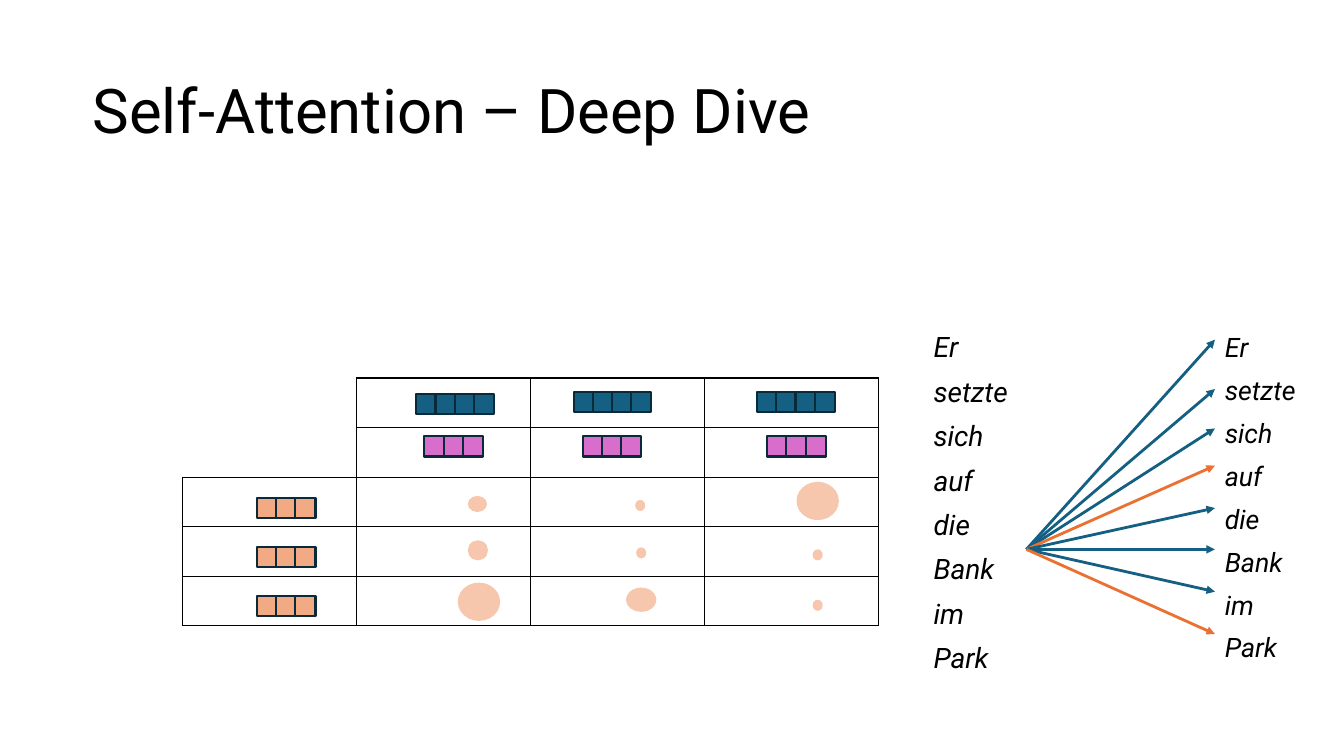
from dataclasses import dataclass
from typing import Any

import pptx
import pptx.dml.color
import pptx.enum.shapes
import pptx.enum.text
import pptx.oxml
import pptx.oxml.ns
import pptx.util

Inches = pptx.util.Inches
Pt = pptx.util.Pt
Shape = pptx.enum.shapes.MSO_SHAPE
Align = pptx.enum.text.PP_ALIGN

BLACK, NAVY = "000000", "092A38"
TEAL, MAGENTA, PEACH = "156082", "D86ECC", "F2AA84"
PALE_PEACH, ORANGE = "F6C6AD", "E97132"
FONT = "Roboto"
SQUARE, SQUARE_STEP = 0.2, 0.19
TABLE_LEFT, TABLE_TOP, TABLE_WIDTH, TABLE_HEIGHT = 1.81, 3.75, 6.9, 2.46
TABLE_ROWS, TABLE_COLUMNS, HEADER_ROWS = 5, 4, 2
BANK = (10.18, 5.45)
ARROW_END = 12.05
WORDS = ["Er", "setzte", "sich", "auf", "die", "Bank", "im", "Park"]
PLAIN_FRAME = {"margin_left": 0, "margin_right": 0, "margin_top": 0, "margin_bottom": 0,
               "word_wrap": True, "auto_size": pptx.enum.text.MSO_AUTO_SIZE.NONE}
INSET_FRAME = {**PLAIN_FRAME, "margin_left": Inches(0.1), "margin_right": Inches(0.1),
               "margin_top": Inches(0.05), "margin_bottom": Inches(0.05)}


@dataclass(frozen=True)
class Vector:
    left: float
    top: float
    length: int
    color: str


@dataclass(frozen=True)
class Score:
    left: float
    top: float
    width: float
    height: float


@dataclass(frozen=True)
class Sentence:
    left: float
    top: float
    size: float
    frame: dict[str, Any]


@dataclass(frozen=True)
class Arrow:
    end_y: float
    color: str


KEYS = [Vector(x, y, 4, TEAL) for x, y in [(4.13, 3.91), (5.69, 3.89), (7.51, 3.89)]]
VALUES = [Vector(x, 4.33, 3, MAGENTA) for x in (4.21, 5.78, 7.61)]
QUERIES = [Vector(2.55, y, 3, PEACH) for y in (4.94, 5.43, 5.91)]
SCORES = [
    Score(4.64, 4.92, 0.19, 0.16), Score(6.3, 4.96, 0.1, 0.11), Score(7.9, 4.78, 0.42, 0.38),
    Score(4.64, 5.36, 0.2, 0.2), Score(6.31, 5.43, 0.1, 0.11), Score(8.06, 5.45, 0.1, 0.11),
    Score(4.54, 5.78, 0.42, 0.38), Score(6.21, 5.83, 0.3, 0.24), Score(8.06, 5.95, 0.1, 0.11),
]
SENTENCES = [Sentence(9.26, 3.31, 20.1, PLAIN_FRAME), Sentence(12.05, 3.27, 19.1, INSET_FRAME)]
ARROWS = [
    Arrow(3.37, TEAL), Arrow(3.86, TEAL), Arrow(4.25, TEAL), Arrow(4.62, ORANGE),
    Arrow(5.04, TEAL), Arrow(5.45, TEAL), Arrow(5.87, TEAL), Arrow(6.29, ORANGE),
]


def rgb(color: str) -> pptx.dml.color.RGBColor:
    return pptx.dml.color.RGBColor.from_string(color)


def apply(target: Any, formats: dict[str, Any]) -> None:
    for attribute, value in formats.items():
        setattr(target, attribute, value)


def style_font(font: Any, size: float, italic: bool) -> None:
    apply(font, {"name": FONT, "size": Pt(size), "italic": italic})
    font.color.rgb = rgb(BLACK)


def write_title(slide: Any, text: str) -> None:
    title = slide.shapes.title
    apply(title, {"left": Inches(0.92), "top": Inches(0.4),
                  "width": Inches(11.5), "height": Inches(1.45)})
    apply(title.text_frame, PLAIN_FRAME)
    title.text_frame.vertical_anchor = pptx.enum.text.MSO_ANCHOR.MIDDLE
    title.text_frame.text = text
    heading = title.text_frame.paragraphs[0]
    apply(heading, {"alignment": Align.LEFT, "line_spacing": 0.9})
    style_font(heading.runs[0].font, 44, False)


def border_cell(cell: Any, hidden: set[str]) -> None:
    properties = cell._tc.get_or_add_tcPr()
    for index, side in enumerate("LRTB"):
        paint = ("<a:noFill/>" if side in hidden else
                 f'<a:solidFill><a:srgbClr val="{BLACK}"/></a:solidFill>')
        border = pptx.oxml.parse_xml(
            f'<a:ln{side} {pptx.oxml.ns.nsdecls("a")} w="{Pt(0.96)}">{paint}</a:ln{side}>')
        properties.insert(index, border)


def draw_score_table(slide: Any) -> None:
    table = slide.shapes.add_table(
        TABLE_ROWS, TABLE_COLUMNS, Inches(TABLE_LEFT), Inches(TABLE_TOP),
        Inches(TABLE_WIDTH), Inches(TABLE_HEIGHT)).table
    apply(table, {"first_row": False, "horz_banding": False})
    for row in range(TABLE_ROWS):
        for column in range(TABLE_COLUMNS):
            cell = table.cell(row, column)
            cell.fill.background()
            hidden: set[str] = set()
            if column == 0 and row < HEADER_ROWS:
                hidden = set("LT") if row == HEADER_ROWS - 1 else set("LTB")
            border_cell(cell, hidden)


def draw_vector(slide: Any, vector: Vector) -> None:
    group = slide.shapes.add_group_shape()
    for position in range(vector.length):
        square = group.shapes.add_shape(
            Shape.RECTANGLE, Inches(vector.left + position * SQUARE_STEP),
            Inches(vector.top), Inches(SQUARE), Inches(SQUARE))
        square.shadow.inherit = False
        square.fill.solid()
        square.fill.fore_color.rgb = rgb(vector.color)
        square.line.color.rgb = rgb(NAVY)
        square.line.width = Pt(1.5)


def draw_score(slide: Any, score: Score) -> None:
    dot = slide.shapes.add_shape(Shape.OVAL, Inches(score.left), Inches(score.top),
                                 Inches(score.width), Inches(score.height))
    dot.shadow.inherit = False
    dot.fill.solid()
    dot.fill.fore_color.rgb = rgb(PALE_PEACH)
    dot.line.fill.background()


def write_sentence(slide: Any, sentence: Sentence) -> None:
    frame = slide.shapes.add_textbox(Inches(sentence.left), Inches(sentence.top),
                                     Inches(1.17), Inches(3.4)).text_frame
    apply(frame, sentence.frame)
    for index, word in enumerate(WORDS):
        line = frame.add_paragraph() if index else frame.paragraphs[0]
        apply(line, {"alignment": Align.LEFT, "line_spacing": 0.9,
                     "space_before": Pt(10 if index else 0)})
        run = line.add_run()
        run.text = word
        style_font(run.font, sentence.size, True)


def draw_arrow(slide: Any, arrow: Arrow) -> None:
    attention = slide.shapes.add_connector(
        pptx.enum.shapes.MSO_CONNECTOR.STRAIGHT, Inches(BANK[0]), Inches(BANK[1]),
        Inches(ARROW_END), Inches(arrow.end_y))
    attention.line.color.rgb = rgb(arrow.color)
    attention.line.width = Pt(0)
    namespace = pptx.oxml.ns.nsdecls("a")
    attention.line._get_or_add_ln().append(
        pptx.oxml.parse_xml(f'<a:tailEnd {namespace} type="triangle"/>'))
    attention._element.spPr.append(pptx.oxml.parse_xml(f"<a:effectLst {namespace}/>"))


def main() -> None:
    deck = pptx.Presentation()
    apply(deck, {"slide_width": Inches(13.33), "slide_height": Inches(7.5)})
    slide = deck.slides.add_slide(deck.slide_layouts[5])
    write_title(slide, "Self-Attention – Deep Dive")
    draw_score_table(slide)
    for vector in KEYS + VALUES + QUERIES:
        draw_vector(slide, vector)
    for score in SCORES:
        draw_score(slide, score)
    for sentence in SENTENCES:
        write_sentence(slide, sentence)
    for arrow in ARROWS:
        draw_arrow(slide, arrow)
    deck.save("out.pptx")


if __name__ == "__main__":
    main()
